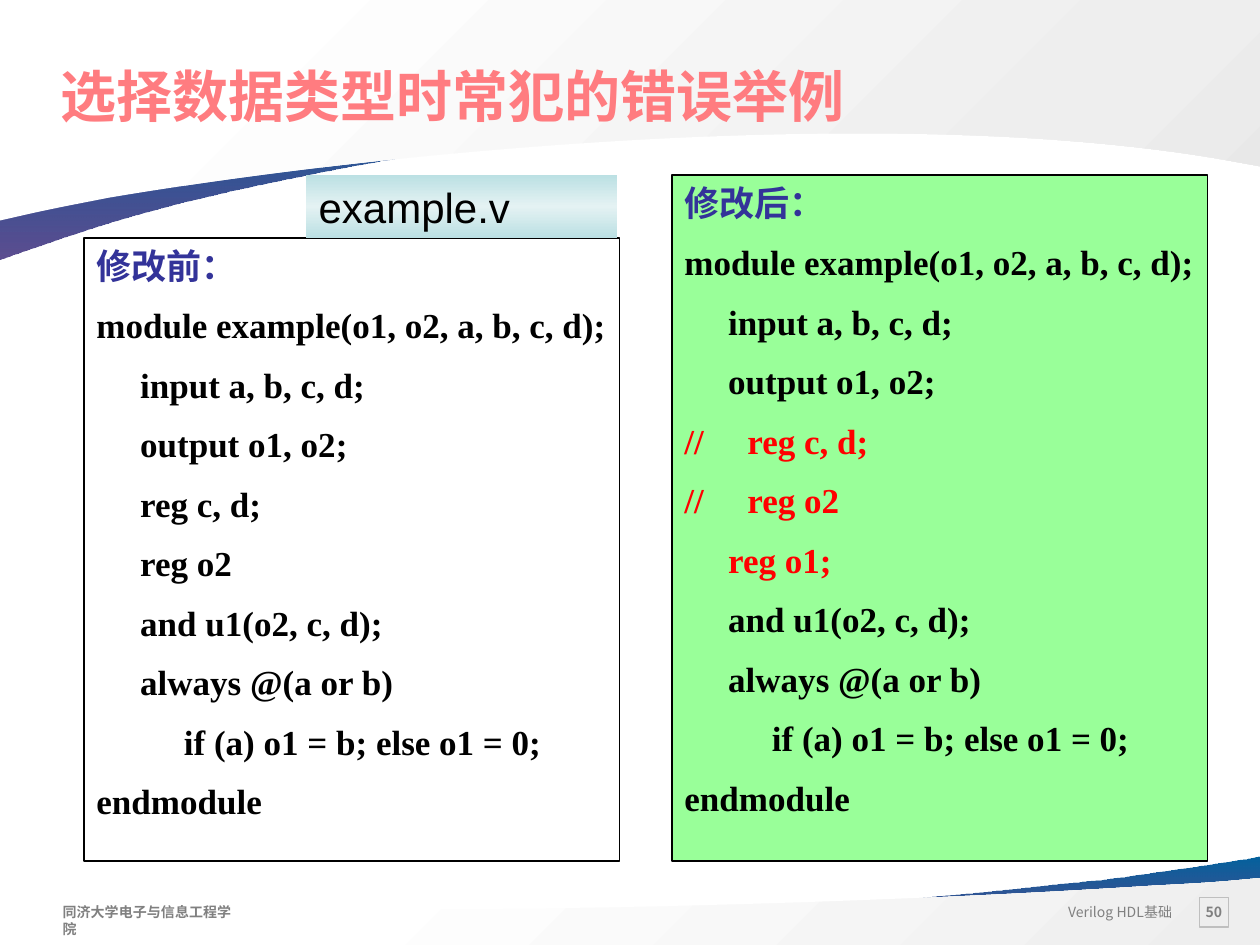
from lxml.etree import SubElement
from pptx import Presentation
from pptx.dml.color import RGBColor
from pptx.enum.shapes import MSO_SHAPE
from pptx.enum.text import MSO_ANCHOR, PP_ALIGN
from pptx.oxml.ns import qn
from pptx.util import Pt

BLACK = RGBColor(0x00, 0x00, 0x00)
WHITE = RGBColor(0xFF, 0xFF, 0xFF)
RED = RGBColor(0xFF, 0x00, 0x00)
PINK = RGBColor(0xFF, 0x7C, 0x80)
NAVY = RGBColor(0x33, 0x33, 0x99)
GREEN = RGBColor(0x99, 0xFF, 0x99)
GREY = RGBColor(0x80, 0x80, 0x80)
SILVER = RGBColor(0xBF, 0xBF, 0xBF)
BLUE = RGBColor(0x04, 0x61, 0x9D)
PURPLE = RGBColor(0x34, 0x22, 0x75)
PALE = RGBColor(0xEE, 0xEE, 0xEE)
ASH = RGBColor(0xE8, 0xE8, 0xE8)
AQUA = RGBColor(0xBB, 0xE0, 0xE3)
MIST = RGBColor(0xE4, 0xF2, 0xF3)

SANS = "Noto Sans CJK SC"
SERIF = "Times New Roman"
STEP = 25
GAP = 36

BAND = [(0, BLUE, 100), (100, PURPLE, 80)]
WAVES = [
    ([(720, 489.6), (720, 536.4), (0, 536.4), (0, 517), (0.7, 517)],
     [(162.7, 540.7), (442.8, 523.4), (604, 505.4),
      (636.5, 502.6), (673.2, 496.8), (712, 491)],
     BAND, 90),
    ([(720, 501.8), (720, 547.2), (0, 547.2), (0, 512.6), (23.8, 514.8)],
     [(211.7, 525.6), (491.8, 517), (658, 506.2),
      (672.5, 505.4), (688.3, 504.7), (704.2, 503.3)],
     [(26, WHITE, 100), (100, PALE, 100)], 45),
    ([(0, 148.3), (0, 47.5), (720, 47.5), (720, 89.3), (719.3, 88.6)],
     [(557.3, 38.2), (277.2, 74.2), (116, 113),
      (83.5, 120.2), (46.8, 131.8), (7.9, 145.4)],
     BAND, 90),
    ([(0, 126), (0, 0), (720, 0), (720, 95), (696.2, 90.7)],
     [(508.3, 59), (228.2, 85), (62, 113),
      (47.5, 115.9), (31.7, 118.8), (15.8, 122.4)],
     [(17, WHITE, 100), (81, PALE, 100), (100, ASH, 100)], 45),
]

HEAD = [(0, "module example(o1, o2, a, b, c, d);", BLACK),
        (1, "input a, b, c, d;", BLACK),
        (1, "output o1, o2;", BLACK)]
TAIL = [(1, "and u1(o2, c, d);", BLACK),
        (1, "always @(a or b)", BLACK),
        (2, "if (a) o1 = b; else o1 = 0;", BLACK),
        (0, "endmodule", BLACK)]
OLD = [(1, "reg c, d;", BLACK), (1, "reg o2", BLACK)]
NEW = [(0, "//\treg c, d;", RED), (0, "//\treg o2", RED), (1, "reg o1;", RED)]


def shade(shape, stops, angle):
    fill = shape.fill
    fill.gradient()
    fill.gradient_angle = 360 - angle
    grad = shape.element.spPr.find(qn("a:gradFill"))
    holder = grad.find(qn("a:gsLst"))
    for old in list(holder):
        holder.remove(old)
    for place, color, alpha in stops:
        stop = SubElement(holder, qn("a:gs"), pos=str(place * 1000))
        tint = SubElement(stop, qn("a:srgbClr"), val=str(color))
        if alpha < 100:
            SubElement(tint, qn("a:alpha"), val=str(alpha * 1000))


def bend(shape, ctrl):
    route = next(shape.element.iter(qn("a:path")))
    end = route.find(qn("a:close"))
    for i in range(0, len(ctrl), 3):
        arc = SubElement(route, qn("a:cubicBezTo"))
        for x, y in ctrl[i:i + 3]:
            SubElement(arc, qn("a:pt"), x=str(Pt(x) - shape.left),
                       y=str(Pt(y) - shape.top))
    route.append(end)


def wave(slide, edge, ctrl, stops, angle):
    dots = [(Pt(x), Pt(y)) for x, y in edge]
    pen = slide.shapes.build_freeform(*dots[0])
    pen.add_line_segments(dots[1:], close=True)
    shape = pen.convert_to_shape()
    bend(shape, ctrl)
    shape.shadow.inherit = False
    shape.line.fill.background()
    shade(shape, stops, angle)


def box(slide, area, fill=None, line=None):
    shape = slide.shapes.add_shape(MSO_SHAPE.RECTANGLE, *map(Pt, area))
    shape.shadow.inherit = False
    if fill:
        shape.fill.solid()
        shape.fill.fore_color.rgb = fill
    else:
        shape.fill.background()
    if line:
        shape.line.color.rgb = line
        shape.line.width = Pt(0.75)
    else:
        shape.line.fill.background()
    return shape


def frame(shape, pads, anchor=MSO_ANCHOR.TOP):
    text = shape.text_frame
    left, top, right, bottom = map(Pt, pads)
    style = {"word_wrap": True, "vertical_anchor": anchor,
             "margin_left": left, "margin_top": top,
             "margin_right": right, "margin_bottom": bottom}
    for name, value in style.items():
        setattr(text, name, value)
    return text


def write(para, words, size, color, face=SANS, bold=True, align=PP_ALIGN.LEFT):
    para.alignment = align
    run = para.add_run()
    run.text = words
    for name, value in {"size": Pt(size), "bold": bold, "name": face}.items():
        setattr(run.font, name, value)
    run.font.color.rgb = color
    SubElement(run.font._element, qn("a:ea"), typeface=SANS)


def label(slide, area, pads, words, size, color, **style):
    shape = slide.shapes.add_textbox(*map(Pt, area))
    write(frame(shape, pads).paragraphs[0], words, size, color, **style)


def code(slide, area, title, lines, fill=None):
    text = frame(box(slide, area, fill, BLACK), (7.2, 3.6, 4, 3.6))
    write(text.paragraphs[0], title, 20, NAVY, SERIF)
    for level, words, color in lines:
        para = text.add_paragraph()
        para.space_before = Pt(10)
        write(para, words, 20, color, SERIF)
        hang = GAP if "\t" in words else 0
        props = para._p.get_or_add_pPr()
        props.set("marL", str(Pt(level * STEP + hang)))
        props.set("indent", str(-Pt(hang)))


def main():
    deck = Presentation()
    deck.slide_width, deck.slide_height = Pt(720), Pt(540)
    slide = deck.slides.add_slide(deck.slide_layouts[6])
    for item in WAVES:
        wave(slide, *item)

    label(slide, (600, 512.5, 77, 17), (0, 3.6, 7.2, 3.6), "Verilog HDL基础",
          8, GREY, bold=False, align=PP_ALIGN.RIGHT)
    page = box(slide, (685.5, 512.8, 16.5, 17), line=SILVER)
    write(frame(page, (0, 0, 0, 0), MSO_ANCHOR.MIDDLE).paragraphs[0],
          "50", 8, GREY, align=PP_ALIGN.CENTER)
    label(slide, (35.8, 512.8, 110.8, 16.5), (0, 3.6, 7.2, 3.6),
          "同济大学电子与信息工程学院", 8, GREY)
    label(slide, (28.6, 29.5, 648, 42), (5.8, 5.8, 0, 5.8),
          "选择数据类型时常犯的错误举例", 32, PINK)

    code(slide, (48, 136, 306, 356), "修改前：", HEAD + OLD + TAIL)
    code(slide, (384, 100, 306, 392), "修改后：", HEAD + NEW + TAIL, GREEN)

    tag = box(slide, (175, 100, 177.5, 36))
    shade(tag, [(0, AQUA, 100), (50, MIST, 100), (100, AQUA, 100)], 90)
    write(frame(tag, (7.2, 3.6, 7.2, 3.6)).paragraphs[0],
          "example.v", 24, BLACK, "Arial", False)
    deck.save("out.pptx")


if __name__ == "__main__":
    main()
